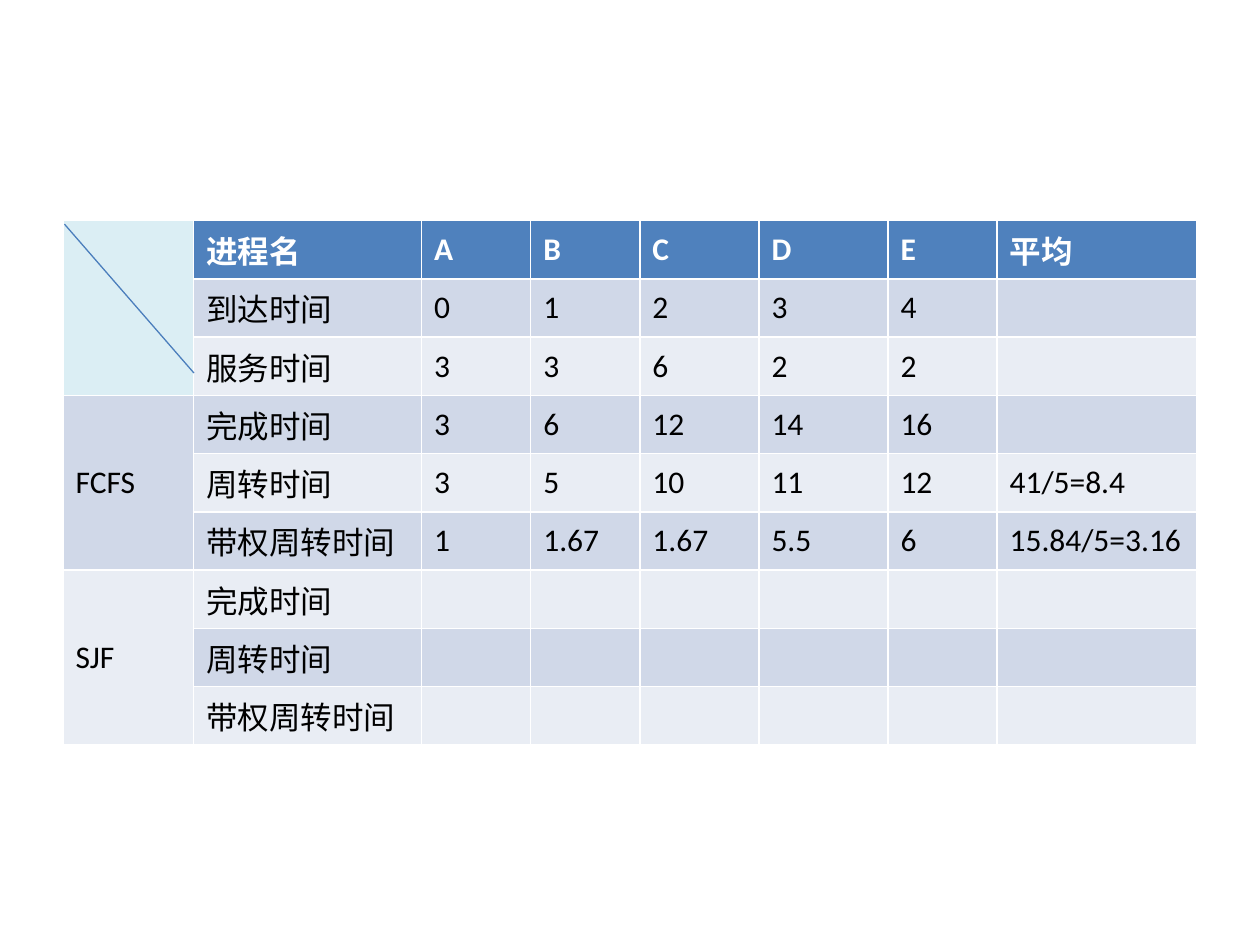
from lxml.etree import SubElement
from pptx import Presentation
from pptx.dml.color import RGBColor
from pptx.enum.shapes import MSO_CONNECTOR
from pptx.enum.text import MSO_ANCHOR
from pptx.oxml.ns import qn
from pptx.util import Cm, Pt

HEADINGS = ["进程名", "A", "B", "C", "D", "E", "平均"]
MEASURES = ["完成时间", "周转时间", "带权周转时间"]
GIVEN = [
    ["到达时间", "0", "1", "2", "3", "4", ""],
    ["服务时间", "3", "3", "6", "2", "2", ""],
]
FCFS_RESULTS = [
    ["3", "6", "12", "14", "16", ""],
    ["3", "5", "10", "11", "12", "41/5=8.4"],
    ["1", "1.67", "1.67", "5.5", "6", "15.84/5=3.16"],
]
SJF_RESULTS = [[""] * 6] * 3
GROUPS = ["", "FCFS", "SJF"]
GROUP_ROWS = 3

LEFT, TOP, ROW_HEIGHT = 1.27, 4.45, 1.04
COLUMN_WIDTHS = [2.63, 4.6, 2.2, 2.2, 2.4, 2.6, 2.2, 4.03]
HEADER, CORNER, BANDS = "4F81BD", "DBEEF4", ["E9EDF4", "D0D8E8"]


def color(hex_code):
    return RGBColor.from_string(hex_code)


def write(cell, text, fill, ink="000000", bold=False, size=18):
    cell.fill.solid()
    cell.fill.fore_color.rgb = color(fill)
    cell.vertical_anchor = MSO_ANCHOR.MIDDLE
    if text:
        run = cell.text_frame.paragraphs[0].add_run()
        run.text = text
        run.font.name = "Calibri"
        run.font.size = Pt(size)
        run.font.bold = bold
        run.font.color.rgb = color(ink)


def add_schedule(slide):
    results = zip(MEASURES * 2, FCFS_RESULTS + SJF_RESULTS)
    rows = [HEADINGS, *GIVEN, *([measure, *values] for measure, values in results)]
    schedule = slide.shapes.add_table(
        len(rows), len(COLUMN_WIDTHS), Cm(LEFT), Cm(TOP),
        Cm(sum(COLUMN_WIDTHS)), Cm(ROW_HEIGHT * len(rows))).table
    for column, width in zip(schedule.columns, COLUMN_WIDTHS):
        column.width = Cm(width)
    for r, values in enumerate(rows):
        schedule.rows[r].height = Cm(ROW_HEIGHT)
        for c, value in enumerate(values, start=1):
            if r == 0:
                write(schedule.cell(r, c), value, HEADER, ink="FFFFFF", bold=True)
            else:
                write(schedule.cell(r, c), value, BANDS[r % 2])
    for g, group in enumerate(GROUPS):
        first = g * GROUP_ROWS
        group_cell = schedule.cell(first, 0)
        group_cell.merge(schedule.cell(first + GROUP_ROWS - 1, 0))
        write(group_cell, group, BANDS[first % 2] if group else CORNER)


def add_diagonal(slide):
    diagonal = slide.shapes.add_connector(
        MSO_CONNECTOR.STRAIGHT, Cm(1.3), Cm(4.52), Cm(3.91), Cm(7.52))
    diagonal.line.color.rgb = color("4B7EBC")
    diagonal.line.width = Pt(0.75)
    SubElement(diagonal.element.spPr, qn("a:effectLst"))


def main():
    """Build the slide comparing FCFS and SJF process scheduling times."""
    deck = Presentation()
    deck.slide_width, deck.slide_height = Cm(25.4), Cm(19.05)
    slide = deck.slides.add_slide(deck.slide_layouts[6])
    add_schedule(slide)
    add_diagonal(slide)
    deck.save("out.pptx")


if __name__ == "__main__":
    main()
